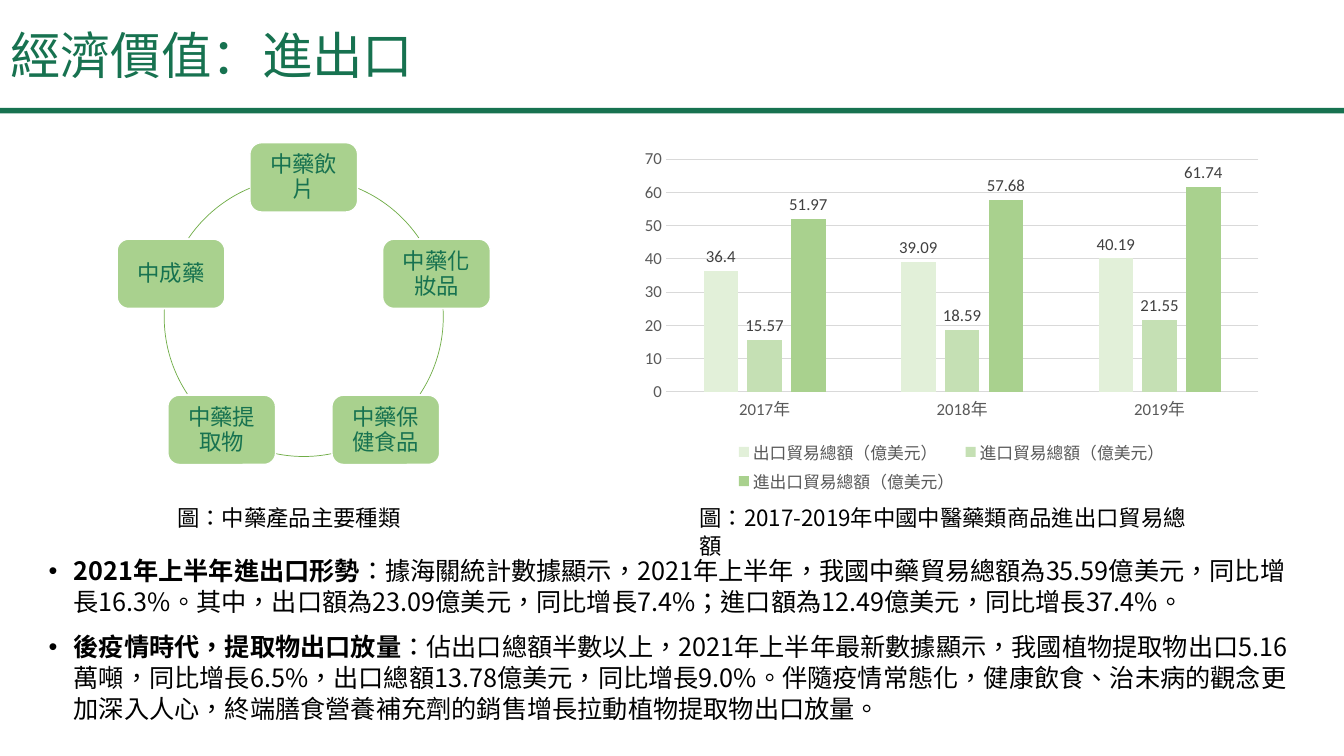
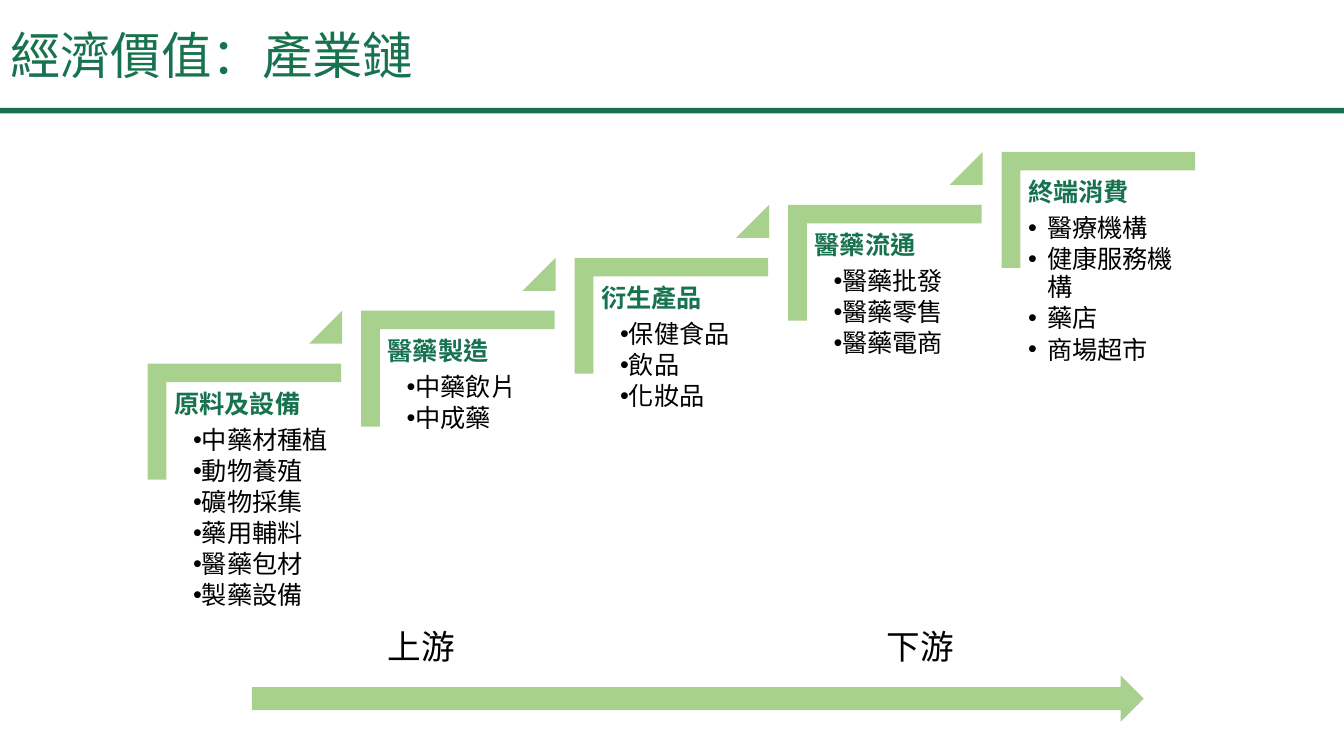
"""Build two slides on the trade and the industry chain of Chinese medicine."""
from dataclasses import dataclass
from math import cos, radians, sin

from lxml import etree
from pptx import Presentation
from pptx.chart.data import CategoryChartData
from pptx.dml.color import RGBColor
from pptx.enum.chart import XL_CHART_TYPE, XL_LABEL_POSITION, XL_LEGEND_POSITION, XL_TICK_MARK
from pptx.enum.shapes import MSO_SHAPE
from pptx.enum.text import MSO_ANCHOR, MSO_AUTO_SIZE, PP_ALIGN
from pptx.oxml.ns import qn
from pptx.util import Pt

RECTANGLE = MSO_SHAPE.RECTANGLE
ROUNDED = MSO_SHAPE.ROUNDED_RECTANGLE
ARC = MSO_SHAPE.ARC
CORNER = MSO_SHAPE.CORNER
TRIANGLE = MSO_SHAPE.ISOSCELES_TRIANGLE
ARROW = MSO_SHAPE.RIGHT_ARROW
COLUMNS = XL_CHART_TYPE.COLUMN_CLUSTERED
OUTSIDE = XL_LABEL_POSITION.OUTSIDE_END
BOTTOM = XL_LEGEND_POSITION.BOTTOM
NO_TICK = XL_TICK_MARK.NONE
TOP, MIDDLE = MSO_ANCHOR.TOP, MSO_ANCHOR.MIDDLE
LEFT, CENTER = PP_ALIGN.LEFT, PP_ALIGN.CENTER
NO_FIT = MSO_AUTO_SIZE.NONE

FONT, CHART_FONT = "Noto Sans CJK SC", "Calibri"
DARK_GREEN, GREEN, ARC_GREEN = "177250", "A9D18E", "70AD47"
BLACK, WHITE, GRID, AXIS_TEXT, LABEL_TEXT = "000000", "FFFFFF", "D9D9D9", "595959", "404040"
TRADITIONAL, SIMPLIFIED = "zh-TW", "zh-CN"


@dataclass(frozen=True)
class Box:
    """A place on the slide in points."""

    left: float
    top: float
    width: float
    height: float

    def lengths(self) -> tuple:
        """Return left, top, width and height as lengths."""
        return Pt(self.left), Pt(self.top), Pt(self.width), Pt(self.height)


@dataclass(frozen=True)
class Step:
    """One stage of the industry chain."""

    heading: str
    items: tuple
    hanging: float = 0


@dataclass(frozen=True)
class Trade:
    """One series of trade totals."""

    name: str
    totals: tuple
    color: str


PRODUCTS = ("中藥飲片", "中藥化妝品", "中藥保健食品", "中藥提取物", "中成藥")
ARC_ANGLES = ((292.8, 325.6), (356.9, 33.5), (78.5, 101.5), (146.5, 183.1), (214.4, 247.2))
YEARS = ("2017年", "2018年", "2019年")
TRADES = (
    Trade("出口貿易總額（億美元）", (36.4, 39.09, 40.19), "E2F0D9"),
    Trade("進口貿易總額（億美元）", (15.57, 18.59, 21.55), "C5E0B4"),
    Trade("進出口貿易總額（億美元）", (51.97, 57.68, 61.74), GREEN),
)
FINDINGS = (
    ("2021年上半年進出口形勢",
     "：據海關統計數據顯示，2021年上半年，我國中藥貿易總額為35.59億美元，同比增長16.3%。"
     "其中，出口額為23.09億美元，同比增長7.4%；進口額為12.49億美元，同比增長37.4%。"),
    ("後疫情時代，提取物出口放量",
     "：佔出口總額半數以上，2021年上半年最新數據顯示，我國植物提取物出口5.16萬噸，同比增長6.5%，"
     "出口總額13.78億美元，同比增長9.0%。伴隨疫情常態化，健康飲食、治未病的觀念更加深入人心，"
     "終端膳食營養補充劑的銷售增長拉動植物提取物出口放量。"),
)
STEPS = (
    Step("原料及設備", ("中藥材種植", "動物養殖", "礦物採集", "藥用輔料", "醫藥包材", "製藥設備")),
    Step("醫藥製造", ("中藥飲片", "中成藥")),
    Step("衍生產品", ("保健食品", "飲品", "化妝品")),
    Step("醫藥流通", ("醫藥批發", "醫藥零售", "醫藥電商")),
    Step("終端消費", ("醫療機構", "健康服務機構", "藥店", "商場超市"), -13.5),
)


def rgb(color: str) -> RGBColor:
    """Turn a hex string into a colour."""
    return RGBColor.from_string(color)


def style_font(font, size: float, color: str, bold: bool = False, name: str = FONT) -> None:
    """Set the face, size and colour of a font."""
    font.name, font.size, font.bold = name, Pt(size), bold
    font.color.rgb = rgb(color)


def set_language(shape, language: str = TRADITIONAL) -> None:
    """Give every run of a shape its East Asian font and language."""
    for properties in shape.element.iter(qn("a:rPr")):
        properties.set("lang", language)
        etree.SubElement(properties, qn("a:ea")).set("typeface", FONT)


def set_bullet(paragraph, margin: float, indent: float) -> None:
    """Give a paragraph a round bullet."""
    properties = paragraph._p.get_or_add_pPr()
    properties.set("marL", str(Pt(margin)))
    properties.set("indent", str(Pt(indent)))
    etree.SubElement(properties, qn("a:buFont")).set("typeface", "Arial")
    etree.SubElement(properties, qn("a:buChar")).set("char", "•")


def style_paragraph(paragraph, size: float, color: str, pitch: float, bold: bool = False,
                    align=LEFT, before: float = 0, after: float = 0) -> None:
    """Format a paragraph and all its runs."""
    paragraph.alignment, paragraph.line_spacing = align, Pt(pitch)
    paragraph.space_before, paragraph.space_after = Pt(before), Pt(after)
    for run in paragraph.runs:
        style_font(run.font, size, color, bold)


def prepare_frame(shape, anchor=TOP, inset: float = 0):
    """Make a text frame wrap and return it."""
    frame = shape.text_frame
    frame.word_wrap, frame.auto_size, frame.vertical_anchor = True, NO_FIT, anchor
    if inset:
        frame.margin_left = frame.margin_right = Pt(inset)
        frame.margin_top = frame.margin_bottom = Pt(inset)
    return frame


def place(shape, box: Box) -> None:
    """Move and size a placeholder."""
    shape.left, shape.top, shape.width, shape.height = box.lengths()


def add_figure(slide, kind, box: Box, fill: str = "", line: str = "", weight: float = 1,
               adjustments: tuple = ()):
    """Add a preset shape without shadow."""
    figure = slide.shapes.add_shape(kind, *box.lengths())
    figure.shadow.inherit = False
    for index, value in enumerate(adjustments):
        figure.adjustments[index] = value
    if fill:
        figure.fill.solid()
        figure.fill.fore_color.rgb = rgb(fill)
    else:
        figure.fill.background()
    if line:
        figure.line.color.rgb = rgb(line)
        figure.line.width = Pt(weight)
    else:
        figure.line.fill.background()
    return figure


def add_label(slide, text: str, box: Box, size: float, pitch: float) -> None:
    """Add a one-paragraph black text box."""
    label = slide.shapes.add_textbox(*box.lengths())
    frame = prepare_frame(label)
    frame.text = text
    style_paragraph(frame.paragraphs[0], size, BLACK, pitch)
    set_language(label)


def add_titled_slide(presentation, layout: int, text: str):
    """Add a slide with the shared title style."""
    slide = presentation.slides.add_slide(presentation.slide_layouts[layout])
    title = slide.shapes.title
    place(title, Box(0, -3, 360, 83.5))
    frame = prepare_frame(title, MIDDLE)
    frame.text = text
    style_paragraph(frame.paragraphs[0], 36, DARK_GREEN, 44)
    set_language(title, SIMPLIFIED)
    return slide


def add_product_cycle(slide) -> None:
    """Draw the product kinds around a circle."""
    center_x, center_y, radius, width, height = 217, 226.4, 99.7, 77, 49.5
    circle = Box(center_x - radius, center_y - radius, 2 * radius, 2 * radius)
    for index, (product, angles) in enumerate(zip(PRODUCTS, ARC_ANGLES)):
        add_figure(slide, ARC, circle, line=ARC_GREEN, weight=0.5,
                   adjustments=tuple(angle * 0.6 for angle in angles))
        turn = radians(360 / len(PRODUCTS) * index - 90)
        card = add_figure(slide, ROUNDED, Box(center_x + radius * cos(turn) - width / 2,
                                              center_y + radius * sin(turn) - height / 2,
                                              width, height), GREEN, WHITE)
        frame = prepare_frame(card, MIDDLE, 5)
        frame.text = product
        style_paragraph(frame.paragraphs[0], 16, DARK_GREEN, 17.8, align=CENTER)
        set_language(card)


def add_trade_chart(slide) -> None:
    """Draw the trade totals as clustered columns."""
    trade_data = CategoryChartData()
    trade_data.categories = YEARS
    for trade in TRADES:
        trade_data.add_series(trade.name, trade.totals)
    box = Box(451.5, 101.5, 456.5, 254)
    chart = slide.shapes.add_chart(COLUMNS, *box.lengths(), trade_data).chart
    style_font(chart.font, 10, BLACK, name=CHART_FONT)
    chart.has_title = False
    chart.has_legend = True
    chart.legend.position, chart.legend.include_in_layout = BOTTOM, False
    style_font(chart.legend.font, 12, AXIS_TEXT, name=CHART_FONT)
    for axis in (chart.category_axis, chart.value_axis):
        axis.major_tick_mark = axis.minor_tick_mark = NO_TICK
        style_font(axis.tick_labels.font, 12, AXIS_TEXT, name=CHART_FONT)
    totals_axis = chart.value_axis
    totals_axis.minimum_scale, totals_axis.maximum_scale, totals_axis.major_unit = 0, 70, 10
    totals_axis.format.line.fill.background()
    for line in (chart.category_axis.format.line, totals_axis.major_gridlines.format.line):
        line.color.rgb = rgb(GRID)
        line.width = Pt(0.75)
    plot = chart.plots[0]
    plot.gap_width, plot.overlap, plot.vary_by_categories = 219, -27, False
    for series, trade in zip(plot.series, TRADES):
        series.format.fill.solid()
        series.format.fill.fore_color.rgb = rgb(trade.color)
        labels = series.data_labels
        labels.show_value, labels.position = True, OUTSIDE
        style_font(labels.font, 12, LABEL_TEXT, name=CHART_FONT)


def add_findings(slide) -> None:
    """Fill the body placeholder with the findings."""
    body = slide.placeholders[1]
    place(body, Box(27.5, 393, 904, 114.5))
    frame = prepare_frame(body)
    for index, (lead, detail) in enumerate(FINDINGS):
        paragraph = frame.add_paragraph() if index else frame.paragraphs[0]
        paragraph.text = lead
        paragraph.add_run().text = detail
        style_paragraph(paragraph, 18, BLACK, 22, before=10 if index else 0)
        paragraph.runs[0].font.bold = True
        set_bullet(paragraph, 18, -18)
    set_language(body)


def add_step(slide, index: int, step: Step) -> None:
    """Draw one stair of the industry chain."""
    shift_x, shift_y = 152.5 * index, -37.8 * index
    corner = add_figure(slide, CORNER, Box(133.2 + shift_x, 232 + shift_y, 82.8, 138.2), GREEN,
                        adjustments=(0.16, 0.16))
    corner.rotation = 90
    if index < len(STEPS) - 1:
        add_figure(slide, TRIANGLE, Box(220.8 + shift_x, 222 + shift_y, 23.5, 23.5), GREEN,
                   adjustments=(1,))
    stage = slide.shapes.add_textbox(*Box(119.5 + shift_x, 273.6 + shift_y, 124.6, 109.4).lengths())
    frame = prepare_frame(stage, inset=5)
    frame.text = step.heading
    style_paragraph(frame.paragraphs[0], 18, DARK_GREEN, 20, bold=True, after=6)
    for item in step.items:
        paragraph = frame.add_paragraph()
        paragraph.text, paragraph.level = item, 1
        style_paragraph(paragraph, 18, BLACK, 20, after=2.2)
        set_bullet(paragraph, 13.5, step.hanging)
    set_language(stage)


def main() -> None:
    """Build and save the presentation."""
    presentation = Presentation()
    presentation.slide_width, presentation.slide_height = Pt(960), Pt(540)

    trade_slide = add_titled_slide(presentation, 1, "經濟價值：進出口")
    band = add_figure(trade_slide, RECTANGLE, Box(-4, 77, 964, 4), DARK_GREEN)
    presentation.slide_master.shapes.element.append(band.element)
    add_findings(trade_slide)
    add_product_cycle(trade_slide)
    add_label(trade_slide, "圖：中藥產品主要種類", Box(119.5, 355.5, 196, 26.5), 16, 20)
    add_trade_chart(trade_slide)
    add_label(trade_slide, "圖：2017-2019年中國中醫藥類商品進出口貿易總額",
              Box(492.5, 355.5, 374.5, 26.5), 16, 20)

    chain_slide = add_titled_slide(presentation, 5, "經濟價值：產業鏈")
    for index, step in enumerate(STEPS):
        add_step(chain_slide, index, step)
    add_figure(chain_slide, ARROW, Box(180, 482.5, 637, 33), GREEN)
    for stream, left in (("上游", 270), ("下游", 626.5)):
        add_label(chain_slide, stream, Box(left, 443, 63.5, 36), 24, 29)
    presentation.save("out.pptx")


if __name__ == "__main__":
    main()
